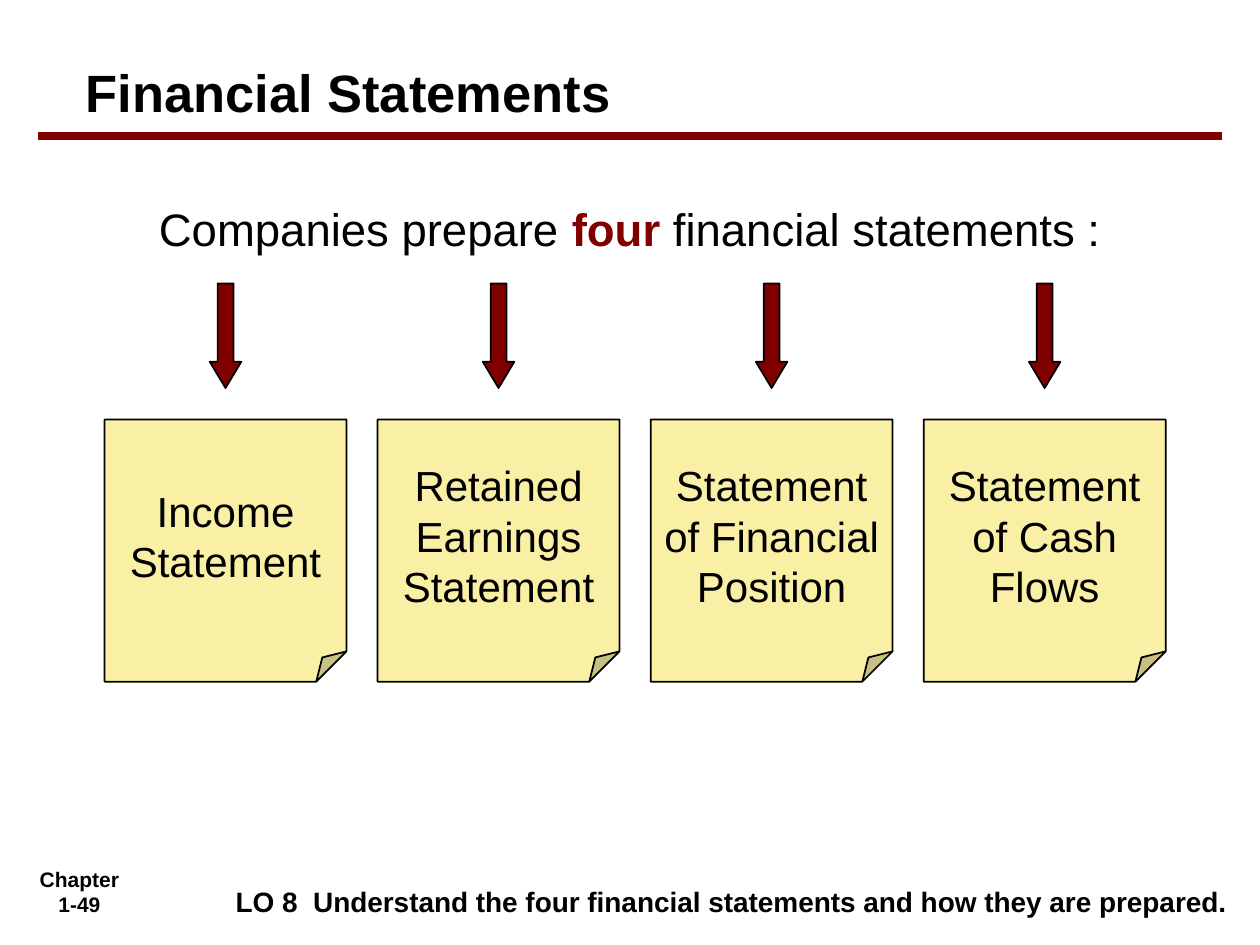
from dataclasses import dataclass

from lxml.etree import SubElement
from pptx import Presentation
from pptx.dml.color import RGBColor
from pptx.enum.shapes import MSO_CONNECTOR, MSO_SHAPE
from pptx.enum.text import MSO_ANCHOR, MSO_AUTO_SIZE, PP_ALIGN
from pptx.oxml.ns import qn
from pptx.util import Inches, Pt

BLACK, MAROON, CREAM, WHITE = "000000", "800000", "F9EFA5", "FFFFFF"
FIRST_LEFT, PITCH = 0.83, 2.167
STATEMENTS = (
    "Income Statement",
    "Retained Earnings Statement",
    "Statement of Financial Position",
    "Statement of Cash Flows",
)


@dataclass(frozen=True)
class Area:
    left: float
    top: float
    width: float
    height: float

    def lengths(self) -> tuple:
        return tuple(map(Inches, (self.left, self.top, self.width, self.height)))


@dataclass(frozen=True)
class Span:
    text: str
    size: int
    bold: bool = False
    color: str = BLACK


def rgb(value: str) -> RGBColor:
    return RGBColor.from_string(value)


def write(box, spans: list[Span], align=PP_ALIGN.CENTER, anchor=MSO_ANCHOR.TOP):
    frame = box.text_frame
    frame_format = {
        "word_wrap": True,
        "auto_size": MSO_AUTO_SIZE.NONE,
        "vertical_anchor": anchor,
    }
    for name, value in frame_format.items():
        setattr(frame, name, value)
    para = frame.paragraphs[0]
    para.alignment = align
    for span in spans:
        run = para.add_run()
        run.text = span.text
        font_format = {"name": "Arial", "size": Pt(span.size), "bold": span.bold}
        for name, value in font_format.items():
            setattr(run.font, name, value)
        run.font.color.rgb = rgb(span.color)
    return para


def add_text(page, area: Area, spans: list[Span], align=PP_ALIGN.CENTER):
    box = page.shapes.add_textbox(*area.lengths())
    return box, write(box, spans, align)


def add_outlined(page, kind, area: Area, fill: str, adjustments: dict[str, int]):
    """Draw a preset shape; adjustments are in 1/100000, by guide name."""
    shape = page.shapes.add_shape(kind, *area.lengths())
    shape.shadow.inherit = False
    shape.fill.solid()
    shape.fill.fore_color.rgb = rgb(fill)
    shape.line.color.rgb = rgb(BLACK)
    shape.line.width = Pt(1)
    guides = shape._element.spPr.find(qn("a:prstGeom")).get_or_add_avLst()
    for guide in list(guides):
        guides.remove(guide)
    for name, value in adjustments.items():
        SubElement(guides, qn("a:gd"), name=name, fmla=f"val {value}")
    return shape


def add_statement(page, left: float, name: str):
    """Draw one note and the arrow pointing down to it."""
    note = add_outlined(page, MSO_SHAPE.FOLDED_CORNER,
                        Area(left, 3.33, 1.92, 2.08), CREAM, {"adj": 12500})
    write(note, [Span(name, 24)], anchor=MSO_ANCHOR.MIDDLE)
    add_outlined(page, MSO_SHAPE.DOWN_ARROW, Area(left + 0.835, 2.25, 0.25, 0.83),
                 MAROON, {"adj1": 50000, "adj2": 83300})


def add_title(page, text: str):
    title = page.shapes.title
    area = Area(0.58, 0.42, 8.83, 0.61)
    for name, value in zip(("left", "top", "width", "height"), area.lengths()):
        setattr(title, name, value)
    write(title, [Span(text, 30, True)], PP_ALIGN.LEFT, MSO_ANCHOR.MIDDLE)
    rule = page.shapes.add_connector(
        MSO_CONNECTOR.STRAIGHT, *map(Inches, (0.33, 1.08, 9.67, 1.08)))
    rule.line.color.rgb = rgb(MAROON)
    rule.line.width = Pt(4.5)
    properties = rule._element.spPr
    properties.find(qn("a:ln")).set("cap", "sq")
    SubElement(properties, qn("a:effectLst"))


def add_footer(page):
    add_text(page, Area(0.17, 6.83, 0.92, 0.5), [Span("Chapter 1-49", 12, True)])
    objective = "LO 8  Understand the four financial statements and how they are prepared."
    box, para = add_text(page, Area(1.17, 6.97, 8.67, 0.37),
                         [Span(objective, 16, True)], PP_ALIGN.RIGHT)
    box.fill.solid()
    box.fill.fore_color.rgb = rgb(WHITE)
    properties = para._p.get_or_add_pPr()
    properties.set("marL", str(Inches(0.5)))
    properties.set("indent", str(Inches(-0.5)))


def main():
    deck = Presentation()
    deck.slide_width, deck.slide_height = Inches(10), Inches(7.5)
    page = deck.slides.add_slide(deck.slide_layouts[5])
    add_title(page, "Financial Statements")
    add_text(page, Area(0.75, 1.55, 8.5, 0.53), [
        Span("Companies prepare ", 26),
        Span("four", 26, True, MAROON),
        Span(" financial statements :", 26),
    ])
    for index, name in enumerate(STATEMENTS):
        add_statement(page, FIRST_LEFT + index * PITCH, name)
    add_footer(page)
    deck.save("out.pptx")


if __name__ == "__main__":
    main()
